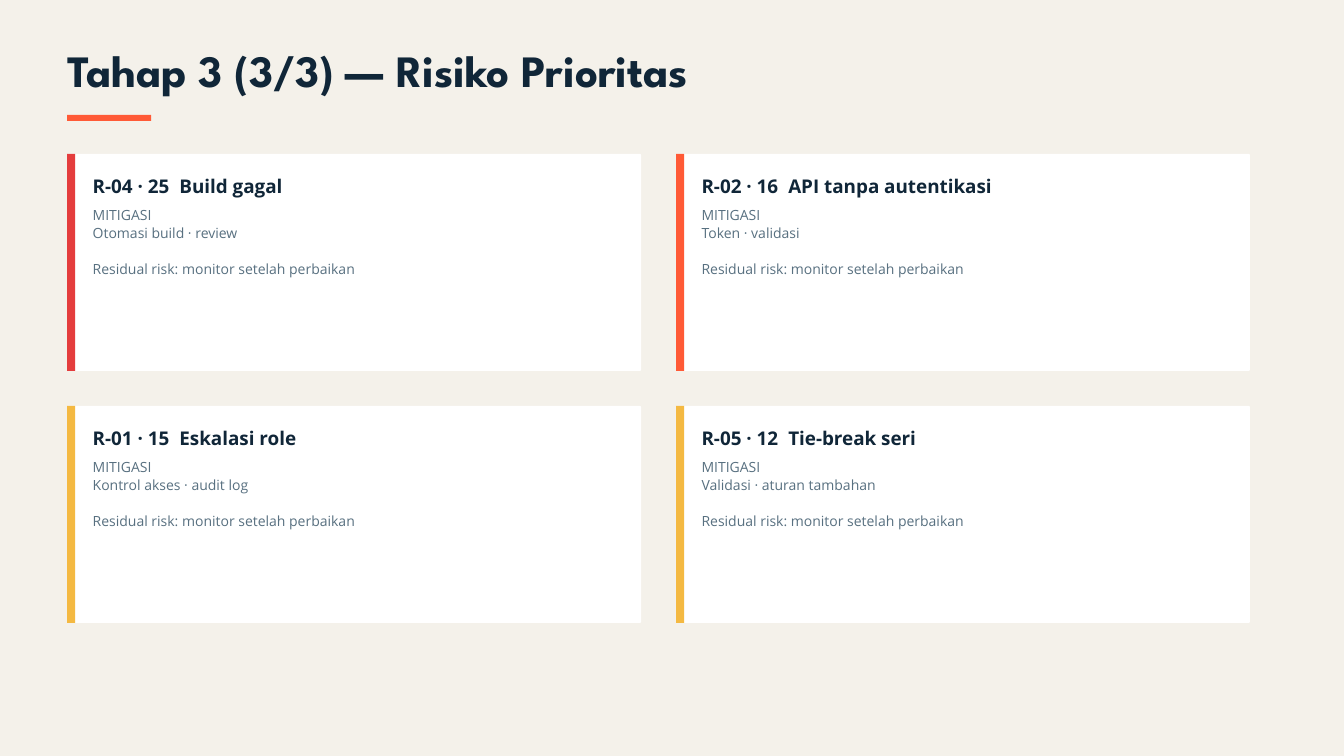
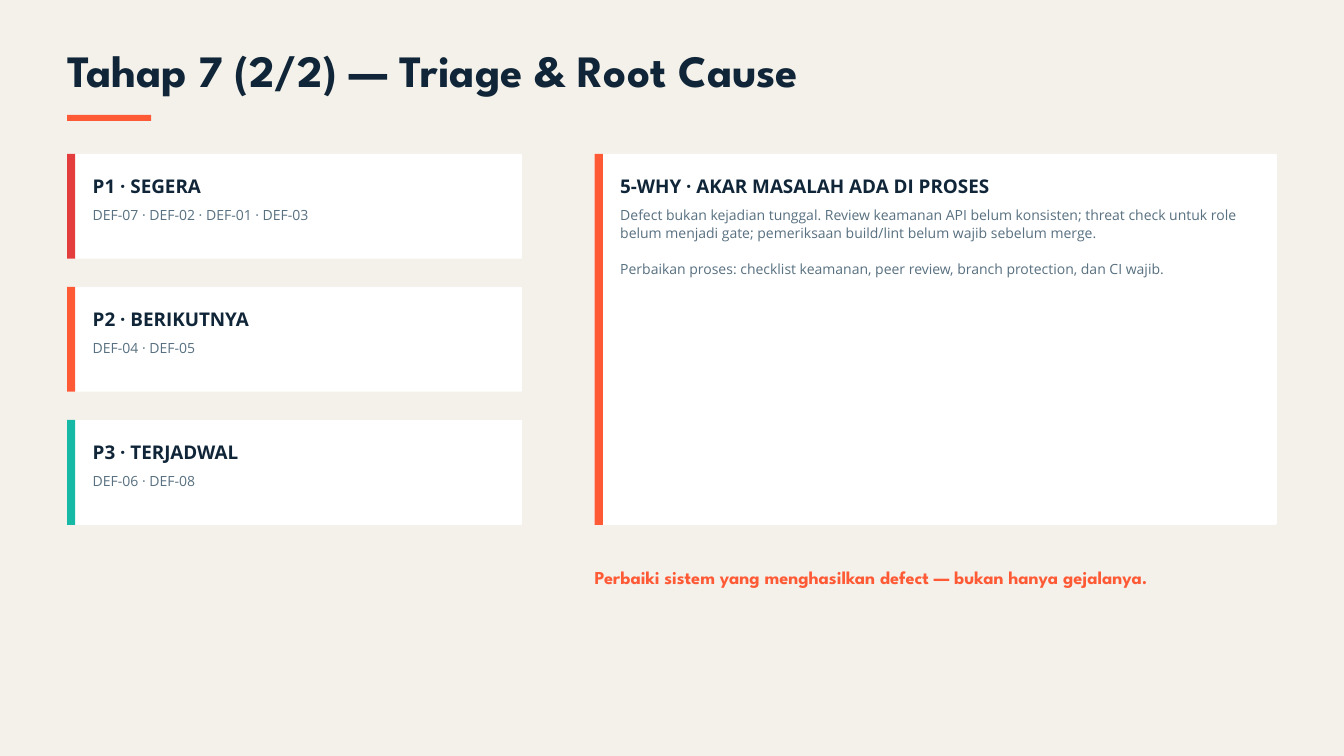
from dataclasses import dataclass

from lxml import etree
from pptx import Presentation
from pptx.dml.color import RGBColor
from pptx.enum.shapes import MSO_SHAPE
from pptx.enum.text import MSO_AUTO_SIZE
from pptx.oxml.ns import qn
from pptx.shapes.autoshape import Shape
from pptx.shapes.shapetree import GroupShapes, SlideShapes
from pptx.slide import Slide
from pptx.util import Inches, Pt

RECTANGLE = MSO_SHAPE.RECTANGLE
ROUNDED_RECTANGLE = MSO_SHAPE.ROUNDED_RECTANGLE
GROW_TO_TEXT = MSO_AUTO_SIZE.SHAPE_TO_FIT_TEXT

Shapes = SlideShapes | GroupShapes


@dataclass(frozen=True)
class TextStyle:
    font: str
    size: float
    line_height: float
    color: RGBColor
    bold: bool = True


@dataclass(frozen=True)
class Theme:
    background: RGBColor = RGBColor.from_string("F4F1EA")
    card: RGBColor = RGBColor.from_string("FFFFFF")
    red: RGBColor = RGBColor.from_string("E43D3D")
    orange: RGBColor = RGBColor.from_string("FF5A36")
    yellow: RGBColor = RGBColor.from_string("F4B942")
    teal: RGBColor = RGBColor.from_string("16B8A6")
    ink: RGBColor = RGBColor.from_string("102638")
    muted: RGBColor = RGBColor.from_string("587080")
    title: TextStyle = TextStyle("League Spartan", 48, 49, ink)
    heading: TextStyle = TextStyle("Open Sans", 20.2, 27.3, ink)
    body: TextStyle = TextStyle("Open Sans", 15, 19.5, muted, bold=False)
    takeaway: TextStyle = TextStyle("League Spartan", 19.5, 19.9, orange)


THEME = Theme()


@dataclass(frozen=True)
class Box:
    left: float
    top: float
    width: float
    height: float

    def lengths(self) -> tuple[Inches, Inches, Inches, Inches]:
        return Inches(self.left), Inches(self.top), Inches(self.width), Inches(self.height)


@dataclass(frozen=True)
class Line:
    text: str
    starts_block: bool = False


@dataclass(frozen=True)
class Card:
    heading: str
    lines: tuple[Line, ...]
    accent: RGBColor


SLIDE_WIDTH, SLIDE_HEIGHT = 20, 11.25
MARGIN = 1
CONTENT_TOP = 2.29
STRIPE_WIDTH = 0.12
CORNER_RADIUS = 0.02
PADDING_LEFT, PADDING_RIGHT = 0.38, 0.33
HEADING_TOP, HEADING_HEIGHT = 0.26, 0.36
BODY_TOP = 0.76
RISK_NAME_TAB = 1.29

RISK_WIDTH, RISK_HEIGHT, RISK_GAP = 8.54, 3.23, 0.52
PRIORITY_WIDTH, PRIORITY_HEIGHT, PRIORITY_GAP = 6.77, 1.56, 0.42
ROOT_CAUSE_LEFT, ROOT_CAUSE_WIDTH = 8.85, 10.15


def risk_card(code: str, name: str, mitigation: str, accent: RGBColor) -> Card:
    residual = Line("Residual risk: monitor setelah perbaikan", starts_block=True)
    return Card(f"{code}\t{name}", (Line("MITIGASI"), Line(mitigation), residual), accent)


RISKS = (
    risk_card("R-04 · 25", "Build gagal", "Otomasi build · review", THEME.red),
    risk_card("R-02 · 16", "API tanpa autentikasi", "Token · validasi", THEME.orange),
    risk_card("R-01 · 15", "Eskalasi role", "Kontrol akses · audit log", THEME.yellow),
    risk_card("R-05 · 12", "Tie-break seri", "Validasi · aturan tambahan", THEME.yellow),
)

PRIORITIES = (
    Card("P1 · SEGERA", (Line("DEF-07 · DEF-02 · DEF-01 · DEF-03"),), THEME.red),
    Card("P2 · BERIKUTNYA", (Line("DEF-04 · DEF-05"),), THEME.orange),
    Card("P3 · TERJADWAL", (Line("DEF-06 · DEF-08"),), THEME.teal),
)

ROOT_CAUSE = Card(
    "5-WHY · AKAR MASALAH ADA DI PROSES",
    (
        Line(
            "Defect bukan kejadian tunggal. Review keamanan API belum konsisten; "
            "threat check untuk role belum menjadi gate; "
            "pemeriksaan build/lint belum wajib sebelum merge."
        ),
        Line(
            "Perbaikan proses: checklist keamanan, peer review, branch protection, dan CI wajib.",
            starts_block=True,
        ),
    ),
    THEME.orange,
)


def add_block(shapes: Shapes, box: Box, color: RGBColor, kind: MSO_SHAPE = RECTANGLE) -> Shape:
    shape = shapes.add_shape(kind, *box.lengths())
    shape.shadow.inherit = False
    shape.fill.solid()
    shape.fill.fore_color.rgb = color
    shape.line.fill.background()
    return shape


def add_text(shapes: Shapes, box: Box, lines: tuple[Line, ...], style: TextStyle) -> None:
    frame = shapes.add_textbox(*box.lengths()).text_frame
    frame.margin_left = frame.margin_top = frame.margin_right = frame.margin_bottom = 0
    frame.word_wrap = True
    frame.auto_size = GROW_TO_TEXT
    for index, line in enumerate(lines):
        paragraph = frame.add_paragraph() if index else frame.paragraphs[0]
        paragraph.line_spacing = Pt(style.line_height)
        if line.starts_block:
            paragraph.space_before = Pt(style.line_height)
        if "\t" in line.text:
            tabs = etree.SubElement(paragraph._p.get_or_add_pPr(), qn("a:tabLst"))
            etree.SubElement(tabs, qn("a:tab"), pos=str(Inches(RISK_NAME_TAB)), algn="l")
        run = paragraph.add_run()
        run.text = line.text
        run.font.name = style.font
        run.font.size = Pt(style.size)
        run.font.bold = style.bold
        run.font.color.rgb = style.color


def add_card(slide: Slide, box: Box, card: Card) -> None:
    shapes = slide.shapes.add_group_shape().shapes
    panel = add_block(shapes, box, THEME.card, ROUNDED_RECTANGLE)
    panel.adjustments[0] = CORNER_RADIUS / min(box.width, box.height)
    add_block(shapes, Box(box.left, box.top, STRIPE_WIDTH, box.height), card.accent)
    text_left = box.left + PADDING_LEFT
    text_width = box.width - PADDING_LEFT - PADDING_RIGHT
    heading_box = Box(text_left, box.top + HEADING_TOP, text_width, HEADING_HEIGHT)
    add_text(shapes, heading_box, (Line(card.heading),), THEME.heading)
    body_height = 1.07 if len(card.lines) > 1 else 0.26
    body_box = Box(text_left, box.top + BODY_TOP, text_width, body_height)
    add_text(shapes, body_box, card.lines, THEME.body)


def add_titled_slide(presentation: Presentation, title: str) -> Slide:
    slide = presentation.slides.add_slide(presentation.slide_layouts[6])
    slide.background.fill.solid()
    slide.background.fill.fore_color.rgb = THEME.background
    add_text(slide.shapes, Box(MARGIN, 0.76, 15.62, 0.7), (Line(title),), THEME.title)
    add_block(slide.shapes, Box(MARGIN, 1.71, 1.25, 0.09), THEME.orange)
    return slide


def build_risk_slide(presentation: Presentation) -> None:
    slide = add_titled_slide(presentation, "Tahap 3 (3/3) — Risiko Prioritas")
    for index, risk in enumerate(RISKS):
        row, column = divmod(index, 2)
        left = MARGIN + column * (RISK_WIDTH + RISK_GAP)
        top = CONTENT_TOP + row * (RISK_HEIGHT + RISK_GAP)
        add_card(slide, Box(left, top, RISK_WIDTH, RISK_HEIGHT), risk)


def build_triage_slide(presentation: Presentation) -> None:
    slide = add_titled_slide(presentation, "Tahap 7 (2/2) — Triage & Root Cause")
    pitch = PRIORITY_HEIGHT + PRIORITY_GAP
    for index, priority in enumerate(PRIORITIES):
        top = CONTENT_TOP + index * pitch
        add_card(slide, Box(MARGIN, top, PRIORITY_WIDTH, PRIORITY_HEIGHT), priority)
    column_height = len(PRIORITIES) * pitch - PRIORITY_GAP
    add_card(slide, Box(ROOT_CAUSE_LEFT, CONTENT_TOP, ROOT_CAUSE_WIDTH, column_height), ROOT_CAUSE)
    takeaway = Line("Perbaiki sistem yang menghasilkan defect — bukan hanya gejalanya.")
    takeaway_box = Box(ROOT_CAUSE_LEFT, 8.48, ROOT_CAUSE_WIDTH, 0.28)
    add_text(slide.shapes, takeaway_box, (takeaway,), THEME.takeaway)


def main() -> None:
    presentation = Presentation()
    presentation.slide_width = Inches(SLIDE_WIDTH)
    presentation.slide_height = Inches(SLIDE_HEIGHT)
    build_risk_slide(presentation)
    build_triage_slide(presentation)
    presentation.save("out.pptx")


if __name__ == "__main__":
    main()
